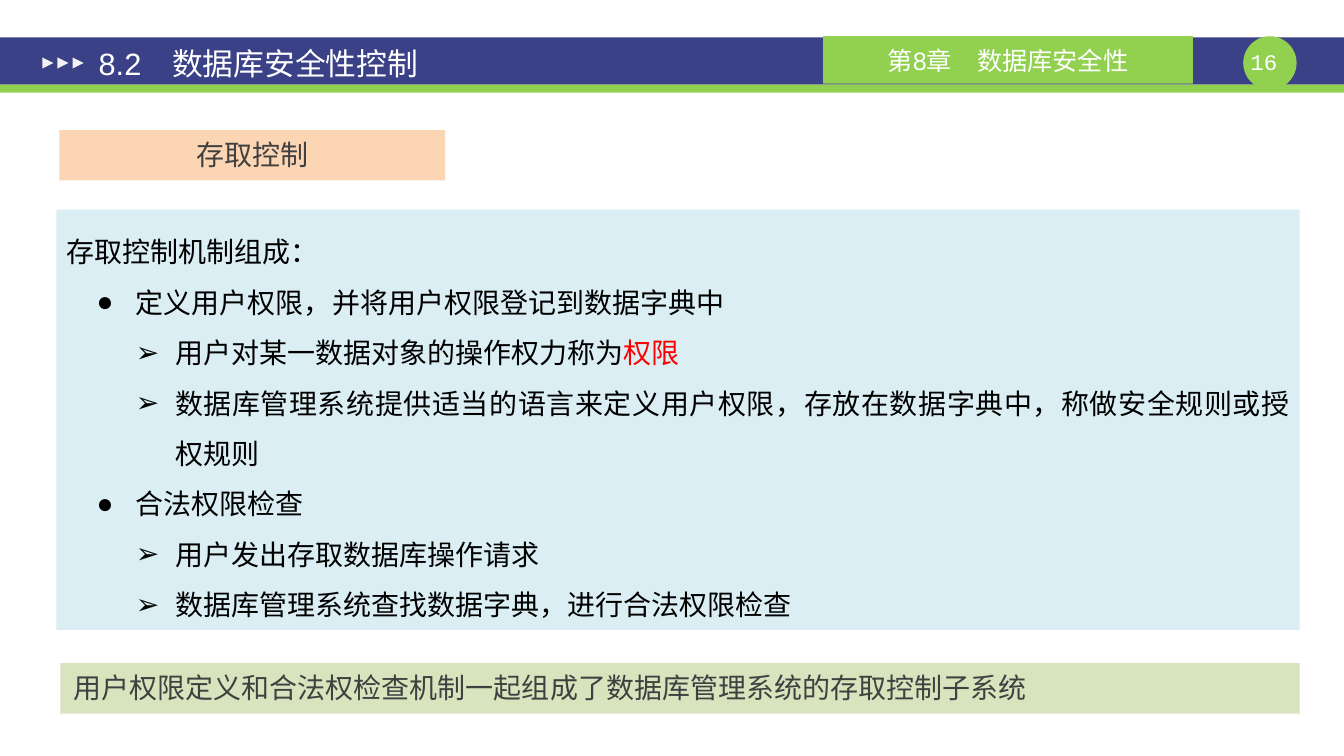
from dataclasses import dataclass

from lxml.etree import SubElement
from pptx import Presentation
from pptx.dml.color import RGBColor
from pptx.enum.shapes import MSO_SHAPE as Form
from pptx.enum.text import MSO_ANCHOR as Anchor, PP_ALIGN as Align
from pptx.oxml.ns import qn
from pptx.shapes.autoshape import Shape
from pptx.slide import Slide
from pptx.text.text import TextFrame, _Paragraph as Para, _Run as Run
from pptx.util import Inches, Pt

HUES = {
    "navy": "3A4187", "green": "92D050", "white": "FFFFFF", "pale": "F2F2F2",
    "peach": "FCD5B5", "blue": "DBEEF4", "olive": "D7E4BD",
    "gray": "404040", "black": "000000", "red": "FF0000",
}
TIGHT = (0.0, 0.0)
SNUG = (0.1, 0.05)
ROOMY = (0.13, 0.07)
STEP = 0.39  # hanging indent of a bullet


@dataclass
class Box:
    left: float
    top: float
    width: float
    height: float
    fill: str = ""
    form: Form = Form.RECTANGLE
    turn: float = 0


@dataclass
class Label:
    box: Box
    text: str
    size: float
    hue: str = "white"
    align: Align = Align.CENTER
    anchor: Anchor = Anchor.MIDDLE
    pad: tuple[float, float] = ROOMY
    font: str = "Arial"


@dataclass
class Point:
    text: str
    level: int = 0
    mark: str = ""
    key: str = ""


BARS = [
    Box(0, 0.37, 13.34, 0.47, "navy"),
    Box(12.34, 0.36, 0.53, 0.53, "green", Form.OVAL),
    Box(0, 0.84, 13.34, 0.08, "green"),
]
ARROWS = [
    Box(0.42 + 0.15 * i, 0.57, 0.11, 0.11, "pale", Form.ISOSCELES_TRIANGLE, 90)
    for i in range(3)
]
LABELS = [
    Label(Box(12.28, 0.48, 0.53, 0.27), "16", 16, anchor=Anchor.TOP,
          pad=TIGHT, font="Courier New"),
    Label(Box(8.17, 0.36, 3.67, 0.47, "green"), "第8章　数据库安全性", 18, pad=SNUG),
    Label(Box(0.85, 0.39, 5.83, 0.47), "8.2　数据库安全性控制", 22, align=Align.LEFT),
    Label(Box(0.59, 1.29, 3.83, 0.5, "peach"), "存取控制", 20, "gray",
          anchor=Anchor.TOP),
    Label(Box(0.6, 6.58, 12.3, 0.5, "olive"),
          "用户权限定义和合法权检查机制一起组成了数据库管理系统的存取控制子系统",
          20, "gray", Align.JUSTIFY, Anchor.TOP),
]
PANEL = Box(0.56, 2.08, 12.34, 4.17, "blue")
POINTS = [
    Point("存取控制机制组成："),
    Point("定义用户权限，并将用户权限登记到数据字典中", 1, "●"),
    Point("用户对某一数据对象的操作权力称为", 2, "➢", "权限"),
    Point("数据库管理系统提供适当的语言来定义用户权限，存放在数据字典中，"
          "称做安全规则或授权规则", 2, "➢"),
    Point("合法权限检查", 1, "●"),
    Point("用户发出存取数据库操作请求", 2, "➢"),
    Point("数据库管理系统查找数据字典，进行合法权限检查", 2, "➢"),
]


def color(hue: str) -> RGBColor:
    return RGBColor.from_string(HUES[hue])


def draw(slide: Slide, box: Box) -> Shape:
    """Add a filled shape, or a text box when there is no fill."""
    spot = [Inches(n) for n in (box.left, box.top, box.width, box.height)]
    if not box.fill:
        return slide.shapes.add_textbox(*spot)
    shape = slide.shapes.add_shape(box.form, *spot)
    shape.rotation = box.turn
    shape.shadow.inherit = False
    shape.fill.solid()
    shape.fill.fore_color.rgb = color(box.fill)
    shape.line.fill.background()
    return shape


def setup(frame: TextFrame, anchor: Anchor, pad: tuple[float, float]) -> None:
    """Set wrapping, anchor and margins."""
    frame.word_wrap = True
    frame.vertical_anchor = anchor
    frame.margin_left = frame.margin_right = Inches(pad[0])
    frame.margin_top = frame.margin_bottom = Inches(pad[1])


def style(run: Run, size: float, hue: str, font: str = "Arial") -> None:
    run.font.size = Pt(size)
    run.font.name = font
    run.font.color.rgb = color(hue)


def write(slide: Slide, label: Label) -> None:
    frame = draw(slide, label.box).text_frame
    setup(frame, label.anchor, label.pad)
    frame.text = label.text
    para = frame.paragraphs[0]
    para.alignment = label.align
    style(para.runs[0], label.size, label.hue, label.font)


def bullet(para: Para, point: Point) -> None:
    props = para._p.get_or_add_pPr()
    left = 0.3 + STEP * point.level
    props.set("marL", str(Inches(left)))
    props.set("indent", str(Inches(-STEP)))
    SubElement(props, qn("a:buFont"), typeface="Arial")
    SubElement(props, qn("a:buChar"), char=point.mark)


def fill(frame: TextFrame, points: list[Point]) -> None:
    """Write the points as justified paragraphs."""
    for i, point in enumerate(points):
        para = frame.add_paragraph() if i else frame.paragraphs[0]
        para.text = point.text
        para.alignment = Align.JUSTIFY
        para.line_spacing = 1.5
        if point.mark:
            bullet(para, point)
        style(para.runs[0], 20, "black")
        if point.key:
            run = para.add_run()
            run.text = point.key
            style(run, 20, "red")


def main() -> None:
    deck = Presentation()
    deck.slide_width, deck.slide_height = Inches(13.34), Inches(7.5)
    slide = deck.slides.add_slide(deck.slide_layouts[6])
    for box in BARS + ARROWS:
        draw(slide, box)
    for label in LABELS:
        write(slide, label)
    frame = draw(slide, PANEL).text_frame
    setup(frame, Anchor.MIDDLE, SNUG)
    fill(frame, POINTS)
    deck.save("out.pptx")


if __name__ == "__main__":
    main()
